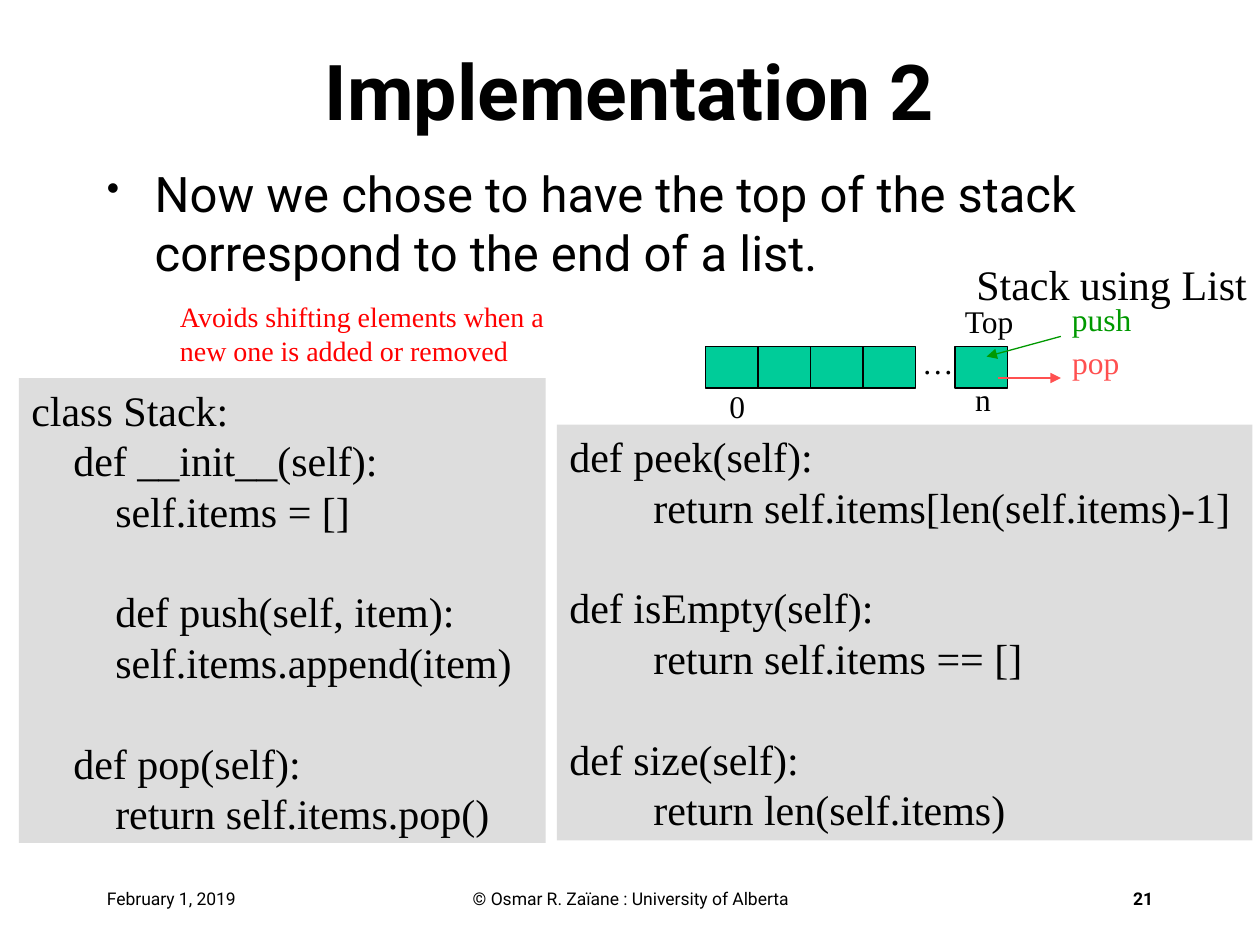
from pptx import Presentation
from pptx.dml.color import RGBColor
from pptx.enum.shapes import MSO_CONNECTOR, MSO_SHAPE
from pptx.enum.text import MSO_ANCHOR, PP_ALIGN
from pptx.oxml import parse_xml
from pptx.oxml.ns import nsdecls
from pptx.util import Inches, Pt

SANS, SERIF = "Roboto", "Times New Roman"
BLACK, GRAY, GREEN = "000000", "DDDDDD", "00CC99"
PUSH, POP, RED = "009900", "FF5050", "FF0000"
CODE_SIZE, CODE_LEADING, INDENT = 24, 28.8, 1 / 3
CELL_WIDTH, CELL_HEIGHT, CELL_TOP = 5 / 12, 0.33, 2.75

TITLE = "Implementation 2"
BULLET = "Now we chose to have the top of the stack correspond to the end of a list."
NOTE = "Avoids shifting elements when a new one is added or removed"
FOOTERS = [
    ("February 1, 2019", 0.75, 2.08, PP_ALIGN.LEFT, False),
    ("© Osmar R. Zaïane : University of Alberta", 2.92, 4.17, PP_ALIGN.CENTER, False),
    ("21", 7.17, 2.08, PP_ALIGN.RIGHT, True),
]
CODE_BLOCKS = [
    ((0.15, 3, 4.18, 3.69), [
        [(0, "class Stack:"), (1, "def __init__(self):"), (2, "self.items = []")],
        [(2, "def push(self, item):"), (2, "self.items.append(item)")],
        [(1, "def pop(self):"), (2, "return self.items.pop()")],
    ]),
    ((4.42, 3.37, 5.52, 3.3), [
        [(0, "def peek(self):"), (2, "return self.items[len(self.items)-1]")],
        [(0, "def isEmpty(self):"), (2, "return self.items == []")],
        [(0, "def size(self):"), (2, "return len(self.items)")],
    ]),
]
CELL_LEFTS = [5.6 + i * CELL_WIDTH for i in range(4)] + [7.58]
LABELS = [
    ("Top", (7.56, 2.35, 0.6, 0.4), 18, BLACK),
    ("Stack using List", (7.65, 2, 2.35, 0.5), 24, BLACK),
    ("0", (5.69, 3.02, 0.33, 0.4), 18, BLACK),
    ("n", (7.64, 2.97, 0.33, 0.4), 18, BLACK),
    ("…", (7.22, 2.67, 0.45, 0.4), 18, BLACK),
    ("push", (8.41, 2.33, 0.67, 0.4), 18, PUSH),
    ("pop", (8.41, 2.67, 0.58, 0.4), 18, POP),
]
ARROWS = [((8.42, 2.67), (7.83, 2.83), PUSH), ((7.92, 3), (8.42, 3), POP)]


def inches(values):
    """Convert a sequence of numbers to lengths."""
    return [Inches(value) for value in values]


def color(value):
    """Turn a hex string into a colour."""
    return RGBColor.from_string(value)


def write(para, text, size, font=SERIF, ink=BLACK, bold=False, align=PP_ALIGN.LEFT):
    """Put formatted text in a paragraph and return its run."""
    para.text = text
    para.alignment = align
    span = para.runs[0]
    span.font.size, span.font.name, span.font.bold = Pt(size), font, bold
    span.font.color.rgb = color(ink)
    return span


def add_text(page, text, place, size, wrap=True, **style):
    """Add a text box with one paragraph and return the paragraph."""
    frame = page.shapes.add_textbox(*inches(place)).text_frame
    frame.word_wrap = wrap
    write(frame.paragraphs[0], text, size, **style)
    return frame.paragraphs[0]


def add_rectangle(page, place, fill, line=None):
    """Add a flat rectangle, outlined when a line colour is given."""
    box = page.shapes.add_shape(MSO_SHAPE.RECTANGLE, *inches(place))
    box.shadow.inherit = False
    box.fill.solid()
    box.fill.fore_color.rgb = color(fill)
    if line:
        box.line.color.rgb, box.line.width = color(line), Pt(0.75)
    else:
        box.line.fill.background()
    return box


def add_title(page):
    """Fill the title placeholder and give its text a shadow."""
    box = page.shapes.title
    box.left, box.top, box.width, box.height = inches((0.75, 0.17, 8.5, 1.08))
    box.text_frame.vertical_anchor = MSO_ANCHOR.MIDDLE
    span = write(box.text_frame.paragraphs[0], TITLE, 44, SANS, bold=True, align=PP_ALIGN.CENTER)
    shadow = parse_xml(
        f'<a:effectLst {nsdecls("a")}><a:outerShdw dist="38100" dir="2700000" algn="tl">'
        '<a:srgbClr val="969696"/></a:outerShdw></a:effectLst>')
    span.font.fill._xPr.find("{*}solidFill").addnext(shadow)


def add_bullet(page):
    """Add the bulleted statement with a hanging indent."""
    para = add_text(page, BULLET, (0.75, 1.25, 8.5, 1.25), 28, font=SANS)
    properties = para._p.get_or_add_pPr()
    properties.set("marL", str(Inches(0.38)))
    properties.set("indent", str(Inches(-0.38)))
    for tag in ('buSzPct val="75000"', 'buChar char="•"'):
        properties.append(parse_xml(f'<a:{tag} {nsdecls("a")}/>'))


def add_code(page, place, groups):
    """Add a code panel whose groups are set apart by one line of space."""
    frame = add_rectangle(page, place, GRAY).text_frame
    frame.word_wrap = True
    frame.vertical_anchor = MSO_ANCHOR.TOP
    para = None
    for group in groups:
        for row, (level, text) in enumerate(group):
            starts_group = para is not None and row == 0
            para = frame.paragraphs[0] if para is None else frame.add_paragraph()
            write(para, text, CODE_SIZE)
            para.line_spacing = Pt(CODE_LEADING)
            para.space_before = Pt(CODE_LEADING if starts_group else 0)
            para._p.get_or_add_pPr().set("marL", str(Inches(level * INDENT)))


def add_arrow(page, start, end, ink):
    """Add a thin arrow pointing at its end."""
    arrow = page.shapes.add_connector(MSO_CONNECTOR.STRAIGHT, *inches(start + end))
    arrow.line.color.rgb, arrow.line.width = color(ink), Pt(0.75)
    arrow.line._get_or_add_ln().append(parse_xml(f'<a:tailEnd {nsdecls("a")} type="triangle"/>'))
    arrow._element.spPr.append(parse_xml(f'<a:effectLst {nsdecls("a")}/>'))


def main():
    """Build the slide and save it."""
    deck = Presentation()
    deck.slide_width, deck.slide_height = inches((10, 7.5))
    page = deck.slides.add_slide(deck.slide_layouts[5])
    add_title(page)
    add_bullet(page)
    for text, left, width, align, bold in FOOTERS:
        add_text(page, text, (left, 7, width, 0.33), 10, font=SANS, align=align, bold=bold)
    for place, groups in CODE_BLOCKS:
        add_code(page, place, groups)
    for left in CELL_LEFTS:
        add_rectangle(page, (left, CELL_TOP, CELL_WIDTH, CELL_HEIGHT), GREEN, BLACK)
    for text, place, size, ink in LABELS:
        add_text(page, text, place, size, wrap=False, ink=ink)
    for start, end, ink in ARROWS:
        add_arrow(page, start, end, ink)
    add_text(page, NOTE, (1.33, 2.33, 3.42, 0.64), 16, ink=RED)
    deck.save("out.pptx")


if __name__ == "__main__":
    main()
